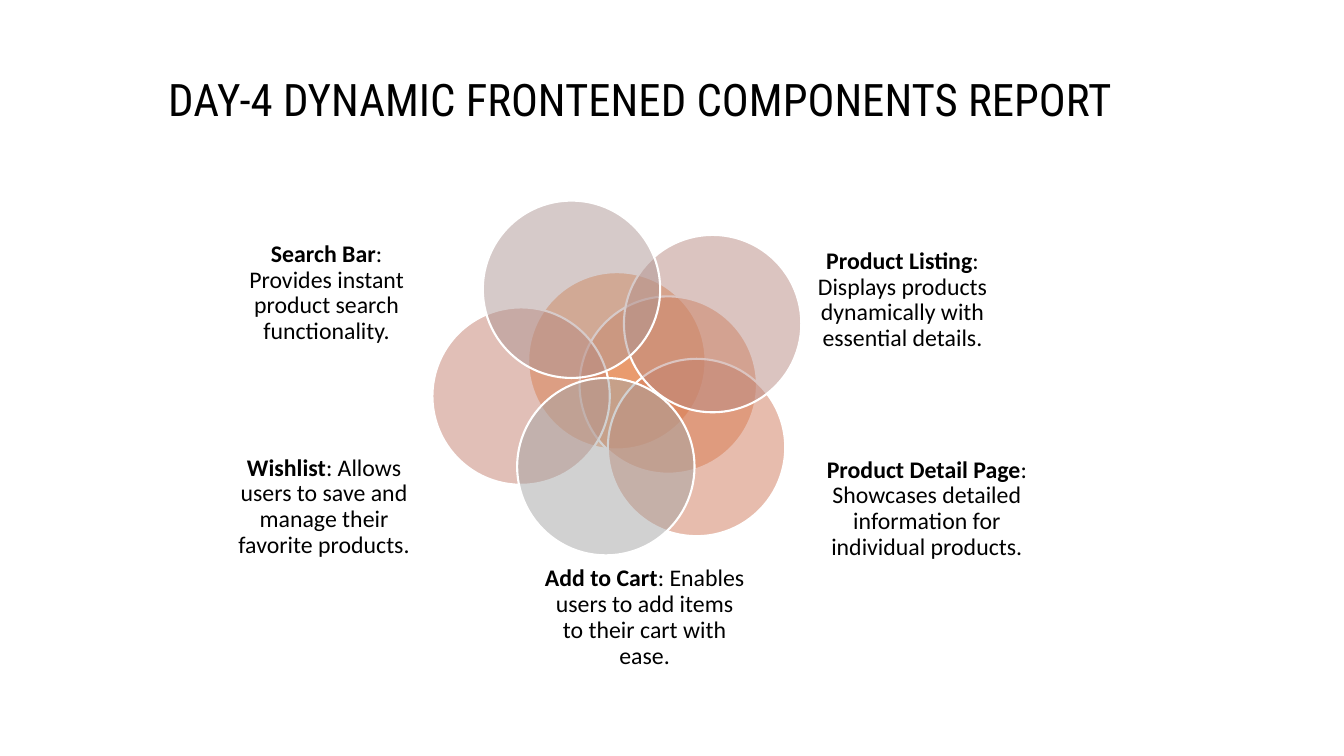
import pptx
import pptx.dml.color
import pptx.enum.shapes
import pptx.enum.text
import pptx.oxml
import pptx.oxml.ns
import pptx.util

Pt = pptx.util.Pt
ANCHOR = pptx.enum.text.MSO_ANCHOR
CIRCLE_SIZE = 126.7
TITLE_FONT = {"name": "Roboto Condensed", "size": Pt(32), "bold": False}
LABEL_FONT = {"name": "Calibri", "size": Pt(17)}
LABEL_FRAME = {
    "word_wrap": True, "vertical_anchor": ANCHOR.MIDDLE,
    "margin_left": 0, "margin_top": 0, "margin_right": 0, "margin_bottom": 0,
}
PARAGRAPH = {"alignment": pptx.enum.text.PP_ALIGN.CENTER, "line_spacing": 0.9}

# left, top, colour; from back to front
CIRCLES = [
    (377.3, 194.4, "ED7D31"),
    (414, 211.7, "DE7A47"),
    (434.2, 256.3, "D17B5C"),
    (308.9, 219.6, "C48170"),
    (445.7, 167.8, "B98A82"),
    (344.9, 143.3, "AE9694"),
    (369.4, 270, "A5A5A5"),
]

# left, top, width, height, component, description
LABELS = [
    (577.4, 169.2, 134.6, 90.7, "Product Listing",
     ": Displays products dynamically with essential details."),
    (589.7, 321.8, 144.7, 83.5, "Product Detail Page",
     ": Showcases detailed information for individual products."),
    (388.1, 399.6, 144.7, 83.5, "Add to Cart",
     ": Enables users to add items to their cart with ease."),
    (164.2, 316.8, 134.6, 90.7, "Wishlist",
     ": Allows users to save and manage their favorite products."),
    (164.9, 167, 136.8, 85, "Search Bar",
     ": Provides instant product search functionality."),
]


def rgb(value):
    return pptx.dml.color.RGBColor.from_string(value)


def add_span(para, text, font_values):
    span = para.add_run()
    span.text = text
    span.font.color.rgb = rgb("000000")
    for name, value in font_values.items():
        setattr(span.font, name, value)


deck = pptx.Presentation()
deck.slide_width, deck.slide_height = Pt(960), Pt(540)
slide = deck.slides.add_slide(deck.slide_layouts[0])
subtitle = slide.placeholders[1].element
subtitle.getparent().remove(subtitle)

title = slide.shapes.title
title.left, title.top, title.width, title.height = Pt(100.8), Pt(-94.3), Pt(720), Pt(188)
title.text_frame.auto_size = pptx.enum.text.MSO_AUTO_SIZE.NONE
title.text_frame.vertical_anchor = ANCHOR.BOTTOM
title_para = title.text_frame.paragraphs[0]
for name, value in PARAGRAPH.items():
    setattr(title_para, name, value)
add_span(title_para, "DAY-4 DYNAMIC FRONTENED COMPONENTS REPORT ", TITLE_FONT)

diagram = slide.shapes.add_group_shape()
for left, top, colour in CIRCLES:
    circle = diagram.shapes.add_shape(
        pptx.enum.shapes.MSO_SHAPE.OVAL,
        Pt(left), Pt(top), Pt(CIRCLE_SIZE), Pt(CIRCLE_SIZE))
    circle.shadow.inherit = False
    circle.fill.solid()
    circle.fill.fore_color.rgb = rgb(colour)
    fill_colour = circle.element.spPr.find(
        pptx.oxml.ns.qn("a:solidFill") + "/" + pptx.oxml.ns.qn("a:srgbClr"))
    fill_colour.append(pptx.oxml.parse_xml(
        f'<a:alpha {pptx.oxml.ns.nsdecls("a")} val="50000"/>'))
    circle.line.color.rgb = rgb("FFFFFF")
    circle.line.width = Pt(1.5)

for left, top, width, height, component, description in LABELS:
    box = diagram.shapes.add_textbox(Pt(left), Pt(top), Pt(width), Pt(height))
    for name, value in LABEL_FRAME.items():
        setattr(box.text_frame, name, value)
    para = box.text_frame.paragraphs[0]
    for name, value in PARAGRAPH.items():
        setattr(para, name, value)
    add_span(para, component, {**LABEL_FONT, "bold": True})
    add_span(para, description, {**LABEL_FONT, "bold": False})

deck.save("out.pptx")
